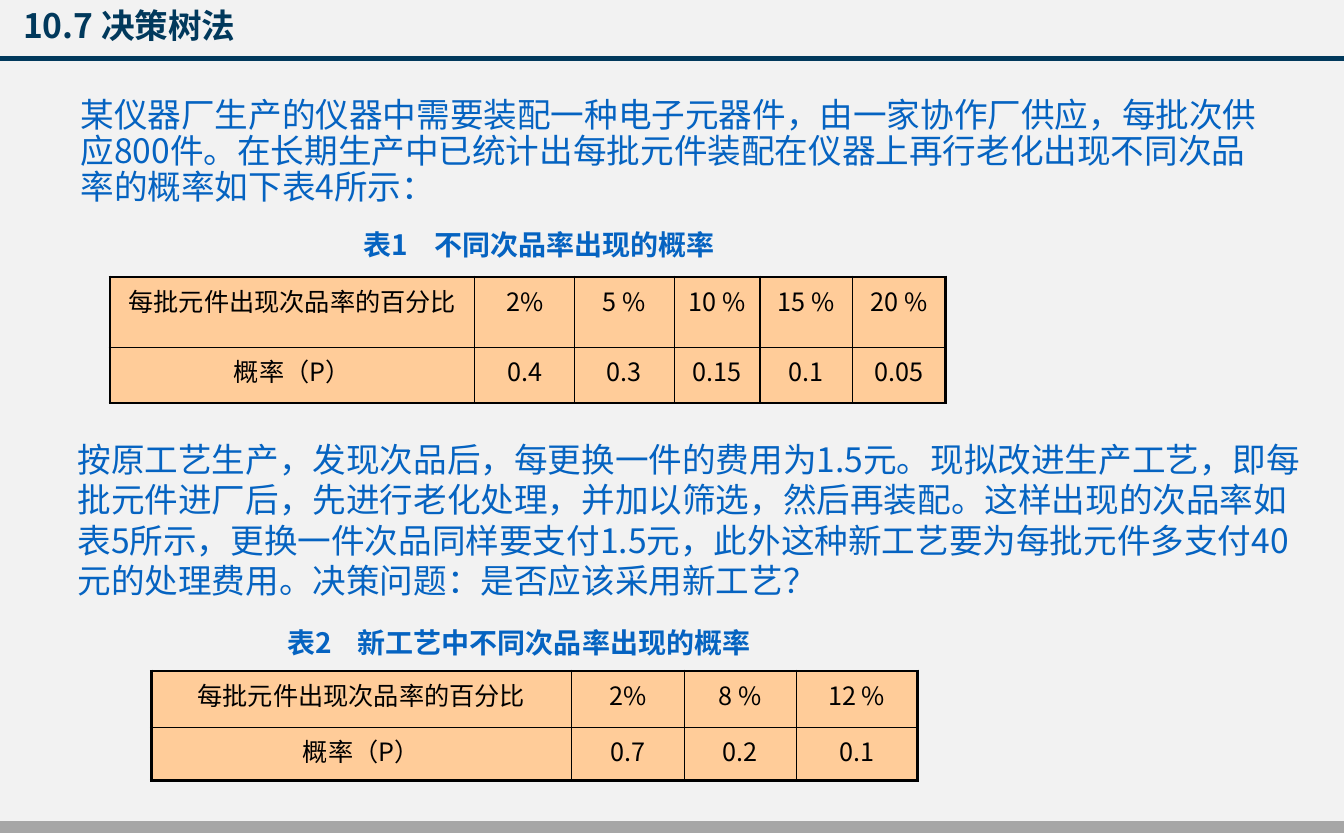
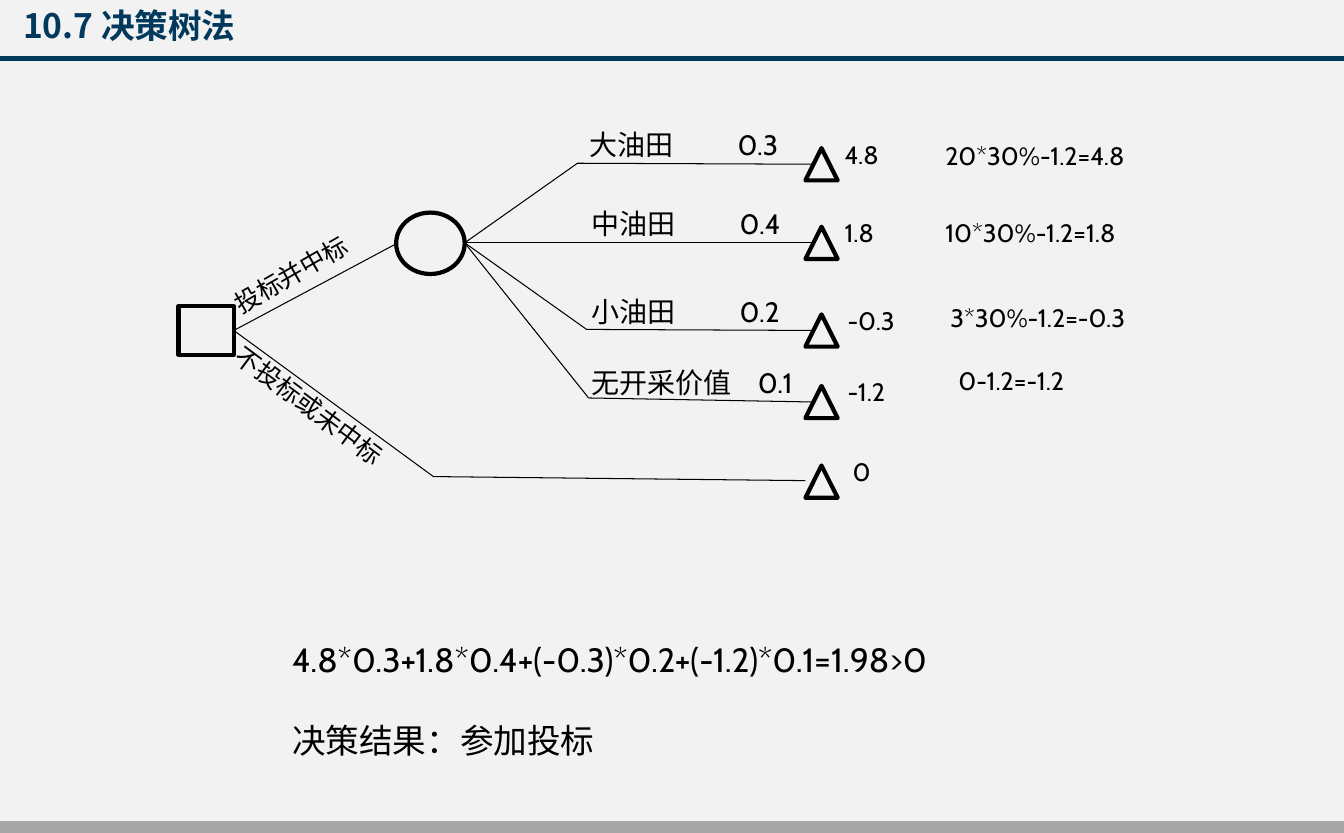
from dataclasses import dataclass
from typing import Optional

from lxml import etree
from pptx import Presentation
from pptx import util as u
from pptx.dml.color import RGBColor
from pptx.enum import shapes, text
from pptx.oxml.ns import qn

COLOURS = {
    "page": "F2F2F2",
    "navy": "01395C",
    "grey": "A6A6A6",
    "blue": "0563C1",
    "cell": "FFCC99",
    "black": "000000",
}
CJK = "Noto Sans CJK SC"
LATIN = "Cabin"
PAGE_WIDTH, PAGE_HEIGHT = u.Emu(12192000), u.Emu(7559675)
HEADING = "10.7 决策树法"


@dataclass
class Style:
    size: float
    colour: str = "black"
    font: str = LATIN
    bold: bool = False
    line: Optional[float] = None  # exact line pitch in points
    tab: Optional[float] = None  # tab stop in inches


BODY = Style(24, "blue", CJK, line=28.8)
INTRO = Style(24, "blue", CJK, line=25.9)
CAPTION = Style(20, "blue", CJK, bold=True, line=24, tab=0.7)
TABLE_TEXT = Style(18, font=CJK)
TITLE = Style(24, "navy", CJK, bold=True)
SMALL = Style(18)


@dataclass
class RateTable:
    caption: str
    caption_at: tuple[float, float, float]
    left: float
    top: float
    columns: list[float]
    rows: list[float]
    rates: list[str]
    chances: list[str]


@dataclass
class Outcome:
    top: float  # top of the triangle
    payoff: str
    payoff_left: float
    label: str = ""
    label_left: float = 5.77
    tab: float = 1.47
    formula: str = ""
    formula_at: tuple[float, float] = (9.28, 0)
    bend: Optional[tuple[float, float]] = None


RATE_TABLES = [
    RateTable("表1\t不同次品率出现的概率", (3.51, 2.21, 4.15), 1.09, 2.75,
              [3.62, 0.99, 0.99, 0.85, 0.92, 0.92], [0.7, 0.55],
              ["2%", "5 %", "10 %", "15 %", "20 %"],
              ["0.4", "0.3", "0.15", "0.1", "0.05"]),
    RateTable("表2\t新工艺中不同次品率出现的概率", (2.75, 6.16, 5.42), 1.5, 6.66,
              [4.17, 1.12, 1.11, 1.2], [0.56, 0.53],
              ["2%", "8 %", "12 %"], ["0.7", "0.2", "0.1"]),
]

OUTCOMES = [
    Outcome(1.47, "4.8", 8.28, "大油田\t0.3", 5.75, formula="20*30%-1.2=4.8",
            formula_at=(9.28, 1.34), bend=(5.73, 1.62)),
    Outcome(2.25, "1.8", 8.28, "中油田\t0.4", formula="10*30%-1.2=1.8",
            formula_at=(9.28, 2.11)),
    Outcome(3.12, "-0.3", 8.31, "小油田\t0.2", formula="3*30%-1.2=-0.3",
            formula_at=(9.33, 2.95), bend=(5.82, 3.27)),
    Outcome(3.83, "-1.2", 8.31, "无开采价值\t0.1", tab=1.65, formula="0-1.2=-1.2",
            formula_at=(9.41, 3.58), bend=(5.84, 3.95)),
    Outcome(4.62, "0", 8.36),
]


def rgb(name: str) -> RGBColor:
    return RGBColor.from_string(COLOURS[name])


def format_para(para, style: Style, align=text.PP_ALIGN.LEFT) -> None:
    para.alignment = align
    properties = para._p.get_or_add_pPr()
    if style.tab:
        tabs = etree.SubElement(properties, qn("a:tabLst"))
        etree.SubElement(tabs, qn("a:tab"), pos=str(u.Inches(style.tab)), algn="l")
    if style.line:
        para.line_spacing = u.Pt(style.line)
    font = para.font
    font.name, font.size, font.bold = style.font, u.Pt(style.size), style.bold
    font.color.rgb = rgb(style.colour)
    etree.SubElement(properties.find(qn("a:defRPr")), qn("a:ea"), typeface=style.font)


def add_text(page, words: str, left: float, top: float, width: float, height: float,
             style: Style, anchor=text.MSO_ANCHOR.TOP, rotation: float = 0):
    box = page.shapes.add_textbox(*map(u.Inches, (left, top, width, height)))
    box.rotation = rotation
    frame = box.text_frame
    frame.word_wrap = True
    frame.vertical_anchor = anchor
    frame.text = words
    for para in frame.paragraphs:
        format_para(para, style)
    return box


def add_band(page, top: float, height: float, colour: str):
    band = page.shapes.add_shape(shapes.MSO_SHAPE.RECTANGLE, 0, u.Inches(top),
                                 PAGE_WIDTH, u.Inches(height))
    band.shadow.inherit = False
    band.fill.solid()
    band.fill.fore_color.rgb = rgb(colour)
    band.line.color.rgb = rgb(colour)
    band.line.width = u.Pt(1)
    return band


def dress_layout(layout, page) -> None:
    """Give the layout its colour and two bands, made on a page and moved over."""
    layout.background.fill.solid()
    layout.background.fill.fore_color.rgb = rgb("page")
    for band in (add_band(page, 8.16, 0.1, "grey"), add_band(page, 0.56, 0.04, "navy")):
        layout.shapes.element.append(band.element)


def add_page(deck, layout):
    page = deck.slides.add_slide(layout)
    title = page.shapes.title
    title.left, title.top, title.width, title.height = map(u.Inches, (0.13, 0, 4.01, 0.5))
    frame = title.text_frame
    frame.text = HEADING
    frame.vertical_anchor = text.MSO_ANCHOR.MIDDLE
    format_para(frame.paragraphs[0], TITLE)
    return page


def set_border(cell, side: str, points: float) -> None:
    line = etree.SubElement(cell._tc.get_or_add_tcPr(), qn(f"a:ln{side}"),
                            w=str(u.Pt(points)))
    fill = etree.SubElement(line, qn("a:solidFill"))
    etree.SubElement(fill, qn("a:srgbClr"), val=COLOURS["black"])


def add_rate_table(page, rate_table: RateTable) -> None:
    left, top, width = rate_table.caption_at
    add_text(page, rate_table.caption, left, top, width, 0.44, CAPTION)
    columns, rows = rate_table.columns, rate_table.rows
    table = page.shapes.add_table(
        len(rows), len(columns), u.Inches(rate_table.left), u.Inches(rate_table.top),
        u.Inches(sum(columns)), u.Inches(sum(rows))).table
    table.first_row = table.horz_banding = False
    for column, column_width in zip(table.columns, columns):
        column.width = u.Inches(column_width)
    contents = [["每批元件出现次品率的百分比", *rate_table.rates],
                ["概率（P）", *rate_table.chances]]
    for r, values in enumerate(contents):
        table.rows[r].height = u.Inches(rows[r])
        for c, value in enumerate(values):
            cell = table.cell(r, c)
            cell.text = value
            format_para(cell.text_frame.paragraphs[0], TABLE_TEXT, text.PP_ALIGN.CENTER)
            outer = {"L": c == 0, "R": c == len(columns) - 1,
                     "T": r == 0, "B": r == len(rows) - 1}
            for side, is_outer in outer.items():
                set_border(cell, side, 2.25 if is_outer else 1)
            cell.fill.solid()
            cell.fill.fore_color.rgb = rgb("cell")


def outline(shape, points: float) -> None:
    """Leave a shape unfilled with a black line."""
    shape.shadow.inherit = False
    shape.fill.background()
    shape.line.color.rgb = rgb("black")
    shape.line.width = u.Pt(points)


def add_node(page, kind, left: float, top: float, width: float, height: float):
    node = page.shapes.add_shape(kind, *map(u.Inches, (left, top, width, height)))
    outline(node, 3)
    return node


def add_line(page, start: tuple[float, float], end: tuple[float, float]):
    line = page.shapes.add_connector(shapes.MSO_CONNECTOR.STRAIGHT,
                                     *map(u.Inches, (*start, *end)))
    line.line.color.rgb = rgb("black")
    line.line.width = u.Pt(0.75)
    etree.SubElement(line._element.spPr, qn("a:effectLst"))
    return line


def add_bent_line(page, *points: tuple[float, float]) -> None:
    start, *rest = [tuple(map(u.Inches, point)) for point in points]
    builder = page.shapes.build_freeform(*start)
    builder.add_line_segments(rest, close=False)
    outline(builder.convert_to_shape(), 0.75)


def add_outcome(page, outcome: Outcome, chance_point: tuple[float, float]) -> None:
    """Draw one end triangle with its branch, label, payoff and formula."""
    add_node(page, shapes.MSO_SHAPE.ISOSCELES_TRIANGLE, 7.99, outcome.top, 0.32, 0.32)
    add_text(page, outcome.payoff, outcome.payoff_left, outcome.top - 0.14, 0.79, 0.5, SMALL)
    if not outcome.label:
        return
    end = (8.07, outcome.top + 0.16)
    if outcome.bend:
        add_bent_line(page, chance_point, outcome.bend, end)
    else:
        add_line(page, chance_point, end)
    add_text(page, outcome.label, outcome.label_left, outcome.top - 0.25, 2.3, 0.43,
             Style(20, tab=outcome.tab))
    add_text(page, outcome.formula, *outcome.formula_at, 3, 0.4, SMALL)


def fill_defect_page(page) -> None:
    add_text(page, "某仪器厂生产的仪器中需要装配一种电子元器件，由一家协作厂供应，每批次供应800件。"
             "在长期生产中已统计出每批元件装配在仪器上再行老化出现不同次品率的概率如下表4所示：",
             0.7, 1.08, 11.93, 1.02, INTRO, text.MSO_ANCHOR.BOTTOM)
    add_text(page, "按原工艺生产，发现次品后，每更换一件的费用为1.5元。现拟改进生产工艺，"
             "即每批元件进厂后，先进行老化处理，并加以筛选，然后再装配。"
             "这样出现的次品率如表5所示，更换一件次品同样要支付1.5元，"
             "此外这种新工艺要为每批元件多支付40元的处理费用。决策问题：是否应该采用新工艺？",
             0.67, 4.25, 12.4, 1.81, BODY, text.MSO_ANCHOR.MIDDLE)
    for rate_table in RATE_TABLES:
        add_rate_table(page, rate_table)


def fill_tree_page(page) -> None:
    decision = add_node(page, shapes.MSO_SHAPE.RECTANGLE, 1.77, 3.04, 0.55, 0.48)
    add_node(page, shapes.MSO_SHAPE.OVAL, 3.93, 2.11, 0.68, 0.61)
    decision_point = (2.32, 3.28)
    bid_line = add_line(page, decision_point, (3.93, 2.42))
    bid_line.begin_connect(decision, 3)
    add_bent_line(page, decision_point, (4.3, 4.73), (7.99, 4.77))
    for outcome in OUTCOMES:
        add_outcome(page, outcome, (4.61, 2.41))
    add_text(page, "投标并中标", 2.16, 2.41, 1.87, 0.5, SMALL, rotation=330.2)
    add_text(page, "不投标或未中标", 2.01, 3.99, 2.53, 0.5, SMALL, rotation=36.7)
    result = add_text(page, "4.8*0.3+1.8*0.4+(-0.3)*0.2+(-1.2)*0.1=1.98>0\n决策结果：参加投标",
                      2.8, 6.29, 9.08, 1.31, Style(24))
    result.text_frame.paragraphs[1].space_before = u.Pt(29)


def main() -> None:
    deck = Presentation()
    deck.slide_width, deck.slide_height = PAGE_WIDTH, PAGE_HEIGHT
    layout = deck.slide_layouts[5]
    defect_page, tree_page = add_page(deck, layout), add_page(deck, layout)
    dress_layout(layout, defect_page)
    fill_defect_page(defect_page)
    fill_tree_page(tree_page)
    deck.save("out.pptx")


if __name__ == "__main__":
    main()
